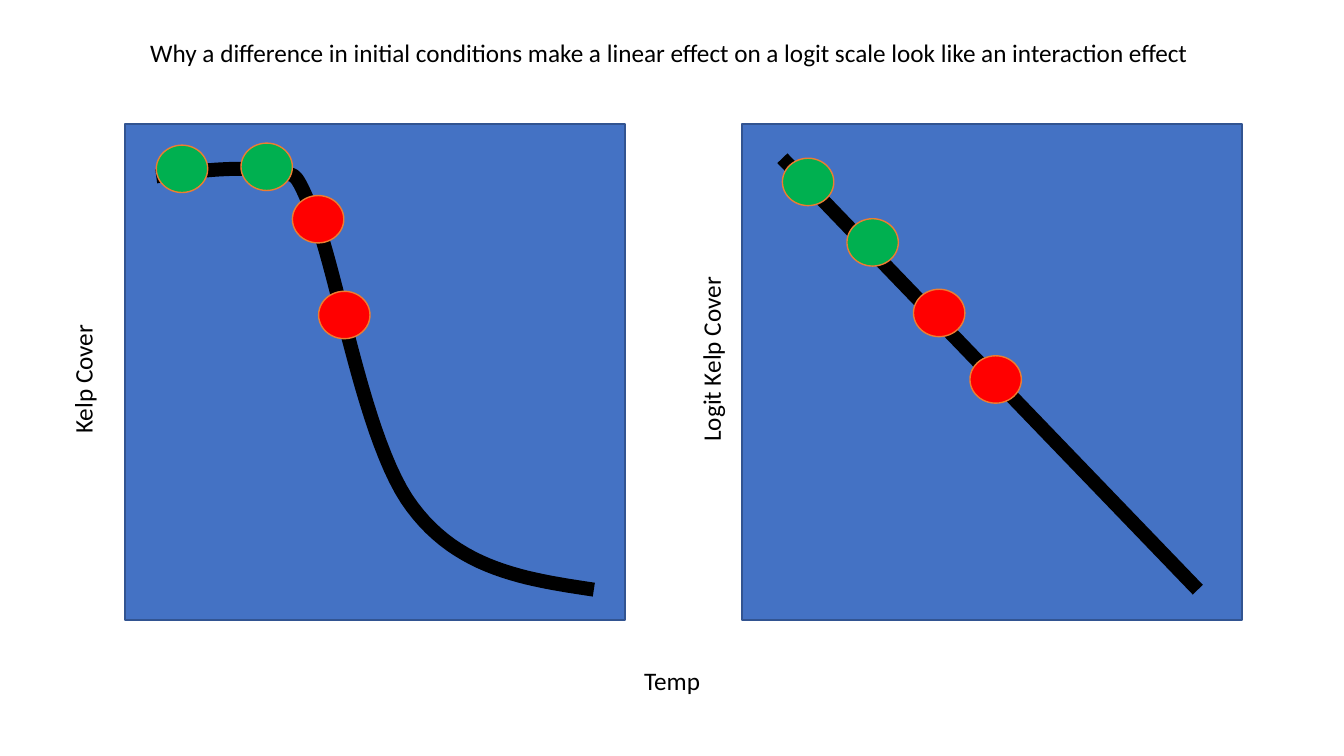
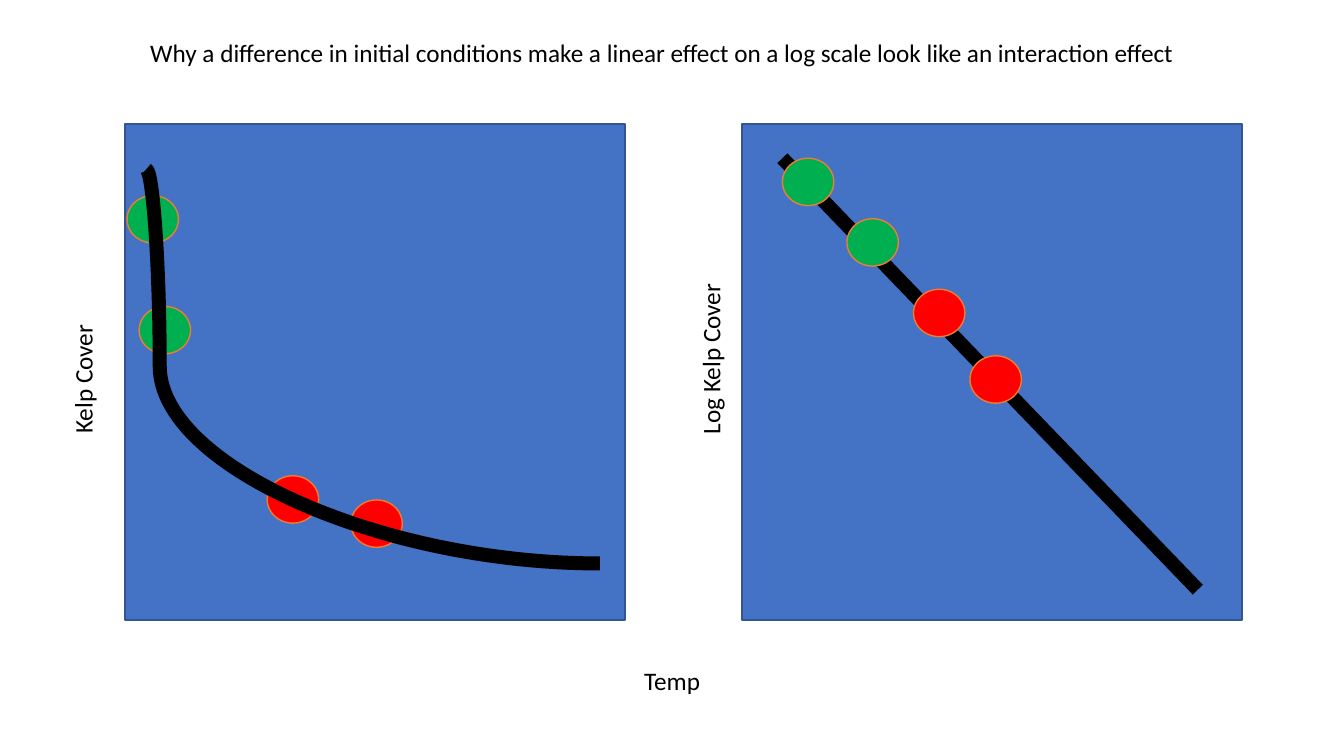
from lxml import etree
from pptx import Presentation
from pptx import util as u
from pptx.dml import color
from pptx.enum import shapes, text
from pptx.oxml import ns

FONT = "Calibri"
TEXT_SIZE = 18
BLACK, BLUE, NAVY = "000000", "4472C4", "325491"
GREEN, RED, ORANGE = "00B050", "FF0000", "ED7D31"
CURVE_WIDTH = 10
DOT_SIZE = (0.51, 0.47)
PANEL_LEFTS = (1.24, 7.36)
CURVE_STEPS = 24

# Top left corner of each dot: two green, then two red
DOT_COLOURS = (GREEN, GREEN, RED, RED)
LINEAR_DOTS = ((7.76, 1.57), (8.4, 2.17), (9.06, 2.87), (9.62, 3.53))
LOGIT_DOTS = ((1.55, 1.44), (2.39, 1.42), (2.9, 1.94), (3.16, 2.89))
LOG_DOTS = ((1.26, 1.94), (1.38, 3.04), (2.65, 4.72), (3.48, 4.96))

# Start point, then two control points and an end point per segment
LOGIT_CURVE = (
    (1.55, 1.75),
    (1.99, 1.69), (2.42, 1.64), (2.68, 1.71),
    (2.95, 1.77), (2.89, 1.6), (3.12, 2.15),
    (3.35, 2.71), (3.62, 4.42), (4.09, 5.03),
    (4.55, 5.65), (5.22, 5.75), (5.89, 5.85),
)


def rgb(value):
    return color.RGBColor.from_string(value)


def inches(values):
    return [u.Inches(value) for value in values]


def bezier_points(points):
    """Sample a chain of cubic Bézier segments, leaving out its start point."""
    samples = []
    for first in range(0, len(points) - 1, 3):
        segment = points[first:first + 4]
        for step in range(1, CURVE_STEPS + 1):
            t = step / CURVE_STEPS
            weights = ((1 - t) ** 3, 3 * t * (1 - t) ** 2,
                       3 * t ** 2 * (1 - t), t ** 3)
            samples.append(tuple(
                sum(weight * point[axis]
                    for weight, point in zip(weights, segment))
                for axis in (0, 1)))
    return samples


class Sketch:
    """Holds the deck, its style and the current slide."""

    def __init__(self):
        self.deck = Presentation()
        self.deck.slide_width = u.Inches(13.33)
        self.deck.slide_height = u.Inches(7.5)
        self.page = None

    def new_page(self, title):
        self.page = self.deck.slides.add_slide(self.deck.slide_layouts[5])
        box = self.page.shapes.title
        box.left, box.top, box.width, box.height = inches(
            (1.39, 0.32, 10.69, 0.4))
        self.set_words(box, title)

    def set_words(self, box, words):
        frame = box.text_frame
        frame.word_wrap = False
        frame.auto_size = text.MSO_AUTO_SIZE.SHAPE_TO_FIT_TEXT
        frame.vertical_anchor = text.MSO_ANCHOR.TOP
        para = frame.paragraphs[0]
        para.alignment = text.PP_ALIGN.LEFT
        para.line_spacing = 1.0
        span = para.add_run()
        span.text = words
        span.font.name = FONT
        span.font.size = u.Pt(TEXT_SIZE)
        span.font.color.rgb = rgb(BLACK)

    def label(self, words, left, top, width, rotation=0):
        box = self.page.shapes.add_textbox(*inches((left, top, width, 0.4)))
        box.rotation = rotation
        self.set_words(box, words)

    def outline(self, shape, colour, width):
        shape.line.color.rgb = rgb(colour)
        shape.line.width = u.Pt(width)

    def filled(self, kind, place, fill, line):
        shape = self.page.shapes.add_shape(kind, *inches(place))
        shape.shadow.inherit = False
        shape.fill.solid()
        shape.fill.fore_color.rgb = rgb(fill)
        self.outline(shape, line, 1)

    def panel(self, left):
        self.filled(shapes.MSO_SHAPE.RECTANGLE, (left, 1.23, 4.96, 4.92),
                    BLUE, NAVY)

    def dots(self, places):
        for place, fill in zip(places, DOT_COLOURS):
            self.filled(shapes.MSO_SHAPE.OVAL, place + DOT_SIZE, fill, ORANGE)

    def connector(self, kind, start, end, bend=None):
        """Join two points; bend is where a curve turns, as a share of its width."""
        line = self.page.shapes.add_connector(kind, *inches(start + end))
        self.outline(line, BLACK, CURVE_WIDTH)
        properties = line._element.spPr
        etree.SubElement(properties, ns.qn("a:effectLst"))
        if bend is not None:
            guides = properties.find(ns.qn("a:prstGeom")).find(ns.qn("a:avLst"))
            etree.SubElement(guides, ns.qn("a:gd"), name="adj1",
                             fmla=f"val {round(bend * 100000)}")

    def curve(self, points):
        builder = self.page.shapes.build_freeform(*inches(points[0]))
        builder.add_line_segments(
            [inches(point) for point in bezier_points(points)], close=False)
        shape = builder.convert_to_shape()
        shape.shadow.inherit = False
        shape.fill.background()
        self.outline(shape, BLACK, CURVE_WIDTH)

    def comparison(self, scale, label_left, label_width):
        """Start a page with two panels, their labels and the straight line."""
        self.new_page("Why a difference in initial conditions make a linear "
                      f"effect on a {scale} scale look like an interaction effect")
        for left in PANEL_LEFTS:
            self.panel(left)
        self.label("Temp", 6.29, 6.55, 0.76)
        self.label("Kelp Cover", 0.17, 3.55, 1.3, 270)
        self.label(f"{scale.title()} Kelp Cover", label_left, 3.35,
                   label_width, 270)
        self.connector(shapes.MSO_CONNECTOR.STRAIGHT, (7.76, 1.57), (11.88, 5.85))
        self.dots(LINEAR_DOTS)


def main():
    sketch = Sketch()

    sketch.comparison("logit", 6.12, 1.86)
    sketch.curve(LOGIT_CURVE)
    sketch.dots(LOGIT_DOTS)

    sketch.comparison("log", 6.19, 1.71)
    sketch.dots(LOG_DOTS)
    sketch.connector(shapes.MSO_CONNECTOR.CURVE, (1.45, 1.68), (5.95, 5.59),
                     bend=0.03)

    sketch.deck.save("out.pptx")


if __name__ == "__main__":
    main()
